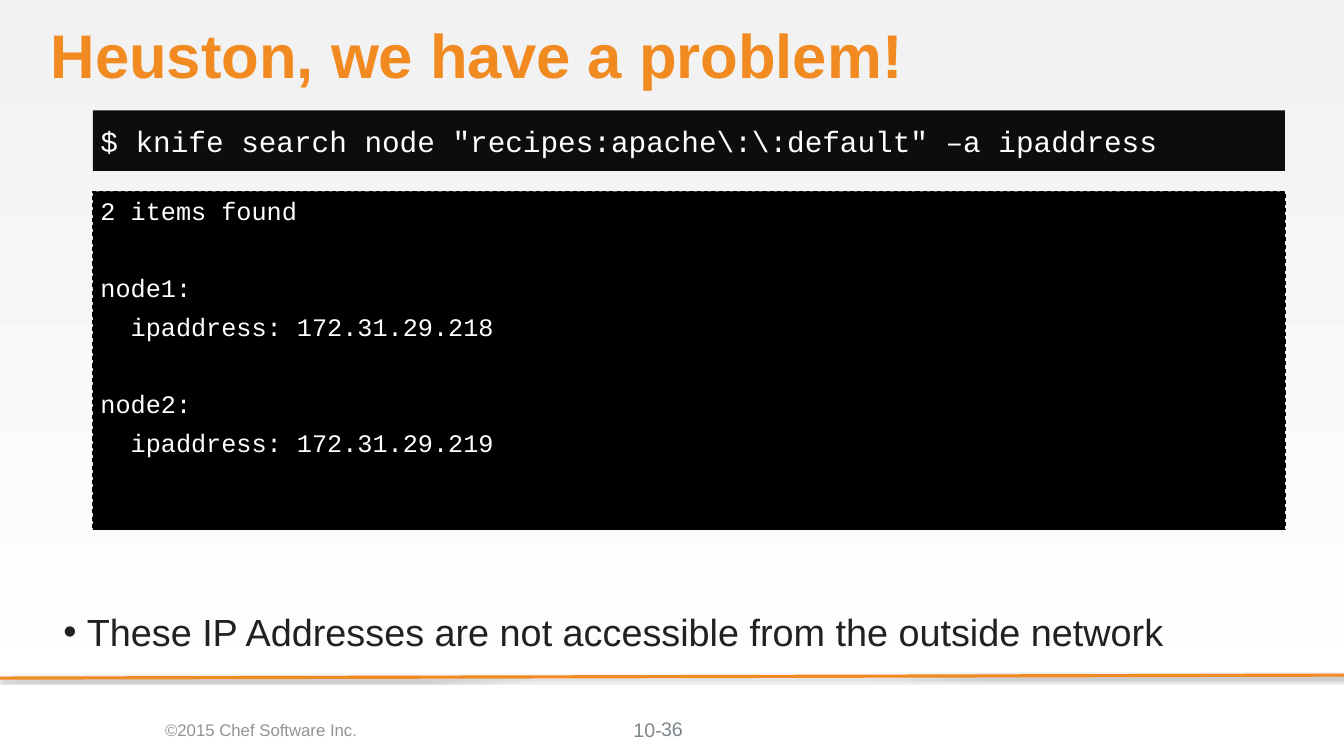
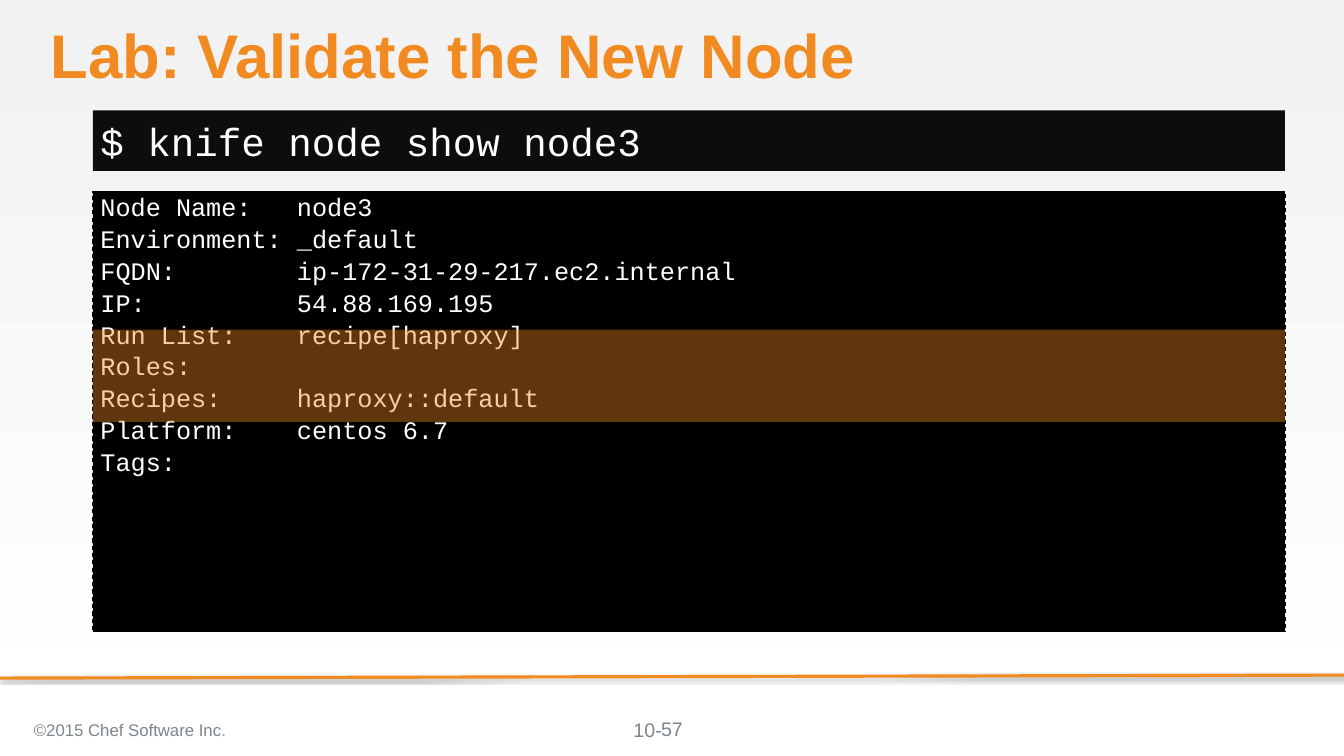
from lxml import etree
from pptx import Presentation
from pptx.dml.color import RGBColor
from pptx.enum import dml, shapes, text
from pptx.oxml.ns import qn
from pptx.util import Inches, Pt

COLOURS = {
    "orange": "F18B21", "black": "000000", "prompt": "0D0D0D", "white": "FFFFFF",
    "mist": "F2F2F2", "slate": "7D868C", "grey": "929494", "ink": "1F2223",
}
SANS, MONO = "Arial", "Courier New"
LEFT, WIDTH = 1.23, 15.77
MIDDLE, TOP = text.MSO_ANCHOR.MIDDLE, text.MSO_ANCHOR.TOP
ALIGN = text.PP_ALIGN

SLIDES = [
    {
        "title": "Heuston, we have a problem!",
        "command": '$ knife search node "recipes:apache\\:\\:default" –a ipaddress',
        "command_size": 28,
        "output": [
            "2 items found",
            "node1:",
            "  ipaddress: 172.31.29.218",
            "node2:",
            "  ipaddress: 172.31.29.219",
        ],
        "output_height": 4.48,
        "gaps_before": [0, 44.9, 8, 44.9, 8],
        "gap_after": 0,
        "spacing": 1.0,
        "copyright": [("©2015 Chef Software Inc.", "grey")],
        "copyright_align": ALIGN.CENTER,
        "number": "36",
        "remark": "These IP Addresses are not accessible from the outside network",
    },
    {
        "title": "Lab: Validate the New Node",
        "command": "$ knife node show node3",
        "command_size": 37.3,
        "output": [
            "Node Name:   node3",
            "Environment: _default",
            "FQDN:        ip-172-31-29-217.ec2.internal",
            "IP:          54.88.169.195",
            "Run List:    recipe[haproxy]",
            "Roles:",
            "Recipes:     haproxy::default",
            "Platform:    centos 6.7",
            "Tags:",
        ],
        "output_height": 5.83,
        "gaps_before": [0] * 9,
        "gap_after": 4.4,
        "spacing": 0.9,
        "copyright": [("©2015 Chef Software Inc", "slate"), (".", "grey")],
        "copyright_align": ALIGN.LEFT,
        "number": "57",
        "highlight": (4.36, 1.22),
    },
]


def write(shape, paragraphs, size, font, anchor=MIDDLE, align=ALIGN.LEFT, insets=None, bold=False):
    frame = shape.text_frame
    frame.word_wrap = True
    frame.auto_size = text.MSO_AUTO_SIZE.NONE
    frame.vertical_anchor = anchor
    if insets:
        frame.margin_left, frame.margin_top, frame.margin_right, frame.margin_bottom = map(Inches, insets)
    for index, runs in enumerate(paragraphs):
        paragraph = frame.paragraphs[0] if index == 0 else frame.add_paragraph()
        paragraph.alignment = align
        for words, colour in runs:
            run = paragraph.add_run()
            run.text = words
            run.font.name = font
            run.font.size = Pt(size)
            run.font.bold = bold
            run.font.color.rgb = RGBColor.from_string(COLOURS[colour])
    return frame.paragraphs


def add_panel(slide, top, height, colour):
    panel = slide.shapes.add_shape(
        shapes.MSO_SHAPE.RECTANGLE, Inches(LEFT), Inches(top), Inches(WIDTH), Inches(height))
    panel.shadow.inherit = False
    panel.fill.solid()
    panel.fill.fore_color.rgb = RGBColor.from_string(COLOURS[colour])
    panel.line.fill.background()
    return panel


prs = Presentation()
prs.slide_width, prs.slide_height = Inches(17.78), Inches(10)

backdrop = prs.slide_master.background.fill
backdrop.gradient()
backdrop.gradient_angle = 270
for stop, colour in zip(backdrop.gradient_stops, ("mist", "white")):
    stop.color.rgb = RGBColor.from_string(COLOURS[colour])

for content in SLIDES:
    slide = prs.slides.add_slide(prs.slide_layouts[5])

    title = slide.shapes.title
    title.left, title.top, title.width, title.height = map(Inches, (0.67, 0.33, 16.33, 0.91))
    heading = write(title, [[(content["title"], "orange")]], 58.7, SANS, TOP, insets=(0, 0, 0, 0), bold=True)
    heading[0].line_spacing = 0.9

    rule = slide.shapes.add_connector(
        shapes.MSO_CONNECTOR.STRAIGHT, Inches(17.78), Inches(8.93), Inches(0), Inches(8.97))
    rule.line.color.rgb = RGBColor.from_string(COLOURS["orange"])
    rule.line.width = Pt(3)
    effects = etree.SubElement(rule._element.spPr, qn("a:effectLst"))
    shadow = etree.SubElement(
        effects, qn("a:outerShdw"), blurRad=str(Pt(3.1)), dist=str(Pt(1.8)), dir="5400000", rotWithShape="0")
    shade = etree.SubElement(shadow, qn("a:srgbClr"), val=COLOURS["black"])
    etree.SubElement(shade, qn("a:alpha"), val="35000")

    output = add_panel(slide, 2.53, content["output_height"], "black")
    output.line.color.rgb = RGBColor.from_string(COLOURS["black"])
    output.line.width = Pt(1)
    output.line.dash_style = dml.MSO_LINE.DASH
    lines = write(output, [[(line, "white")] for line in content["output"]], 24, MONO, TOP)
    for line, gap in zip(lines, content["gaps_before"]):
        line.space_before = Pt(gap)
        line.space_after = Pt(content["gap_after"])
        line.line_spacing = content["spacing"]

    command = add_panel(slide, 1.46, 0.8, "prompt")
    write(command, [[(content["command"], "white")]], content["command_size"], MONO, insets=(0.1, 0, 0, 0))

    chapter = slide.shapes.add_textbox(Inches(8.34), Inches(9.49), Inches(0.8), Inches(0.31))
    write(chapter, [[("10-", "slate")]], 18.7, SANS, TOP, insets=(0.04, 0, 0, 0))

    notice = slide.shapes.add_textbox(Inches(0.35), Inches(9.38), Inches(6.21), Inches(0.56))
    write(notice, [content["copyright"]], 16, SANS, align=content["copyright_align"])

    number = slide.shapes.add_textbox(Inches(6.89), Inches(9.38), Inches(4), Inches(0.53))
    write(number, [[(content["number"], "slate")]], 18.7, SANS, align=ALIGN.CENTER)

    if "remark" in content:
        remark = slide.shapes.add_textbox(Inches(0.74), Inches(7.64), Inches(16.29), Inches(1.42))
        bullet = write(remark, [[(content["remark"], "ink")]], 36, SANS)[0]
        properties = bullet._p.get_or_add_pPr()
        properties.set("marL", str(Inches(0.31)))
        properties.set("indent", str(Inches(-0.31)))
        etree.SubElement(properties, qn("a:buFont"), typeface=SANS)
        etree.SubElement(properties, qn("a:buChar"), char="•")

    if "highlight" in content:
        highlight = add_panel(slide, *content["highlight"], "orange")
        tint = highlight._element.spPr.find(".//" + qn("a:srgbClr"))
        etree.SubElement(tint, qn("a:alpha"), val="40000")

prs.save("out.pptx")
